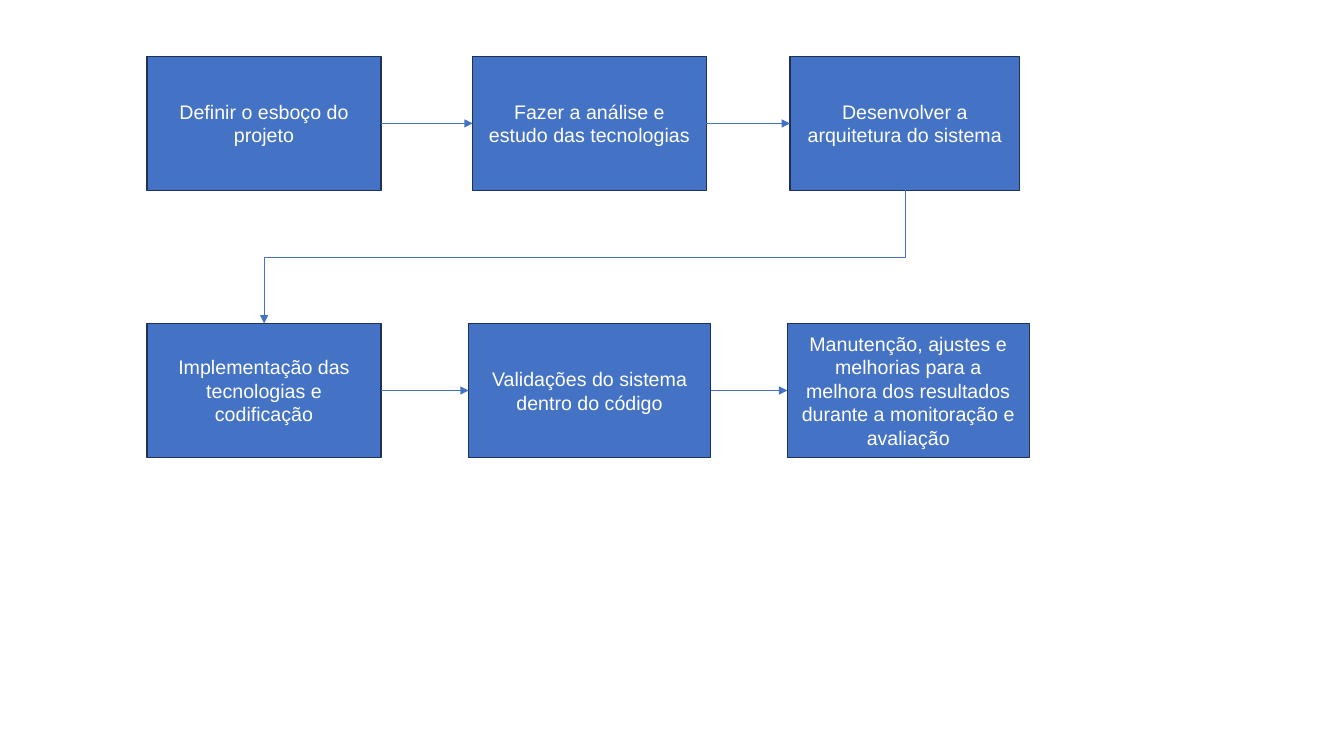
from lxml import etree
from pptx import Presentation
from pptx.dml.color import RGBColor
from pptx.enum.shapes import MSO_CONNECTOR, MSO_SHAPE
from pptx.enum.text import MSO_ANCHOR, PP_ALIGN
from pptx.oxml.ns import qn
from pptx.util import Cm, Pt

RECT = MSO_SHAPE.RECTANGLE
LINE, ELBOW = MSO_CONNECTOR.STRAIGHT, MSO_CONNECTOR.ELBOW
MIDDLE, CENTER = MSO_ANCHOR.MIDDLE, PP_ALIGN.CENTER
TOP, LEFT, BOTTOM, RIGHT = range(4)

BLUE = RGBColor(0x44, 0x72, 0xC4)
NAVY = RGBColor(0x1E, 0x32, 0x56)
WHITE = RGBColor(0xFF, 0xFF, 0xFF)

HIGH = 3.38  # height of every step, cm

# Steps of each row: left, width (cm), text
PLAN = [
    (3.71, 5.89, "Definir o esboço do projeto"),
    (11.91, 5.89, "Fazer a análise e estudo das tecnologias"),
    (19.91, 5.79, "Desenvolver a arquitetura do sistema"),
]
BUILD = [
    (3.71, 5.89, "Implementação das tecnologias e codificação"),
    (11.81, 6.1, "Validações do sistema dentro do código"),
    (19.84, 6.1, "Manutenção, ajustes e melhorias para a melhora dos "
                 "resultados durante a monitoração e avaliação"),
]


def write(shape, text, size=14, font="Arial", color=WHITE, align=CENTER):
    frame = shape.text_frame
    frame.word_wrap = True
    frame.vertical_anchor = MIDDLE
    par = frame.paragraphs[0]
    par.alignment = align
    run = par.add_run()
    run.text = text
    run.font.size = Pt(size)
    run.font.name = font
    run.font.color.rgb = color


def add_step(slide, left, top, width, text):
    step = slide.shapes.add_shape(RECT, Cm(left), Cm(top), Cm(width), Cm(HIGH))
    step.shadow.inherit = False
    step.fill.solid()
    step.fill.fore_color.rgb = BLUE
    step.line.color.rgb = NAVY
    step.line.width = Pt(1)
    write(step, text)
    return step


def add_arrow(slide, kind, start, out, end, into):
    arrow = slide.shapes.add_connector(kind, 0, 0, 0, 0)
    arrow.begin_connect(start, out)
    arrow.end_connect(end, into)
    arrow.line.color.rgb = BLUE
    arrow.line.width = Pt(0.5)
    tip = etree.SubElement(arrow.line._get_or_add_ln(), qn("a:tailEnd"))
    tip.set("type", "triangle")
    etree.SubElement(arrow.element.spPr, qn("a:effectLst"))
    return arrow


def add_row(slide, top, steps):
    """Place one row of steps, each joined to the next."""
    boxes = [add_step(slide, left, top, width, text)
             for left, width, text in steps]
    for start, end in zip(boxes, boxes[1:]):
        add_arrow(slide, LINE, start, RIGHT, end, LEFT)
    return boxes


def add_turn(slide, start, end):
    """Lead from the end of one row down to the start of the next."""
    arrow = add_arrow(slide, ELBOW, start, BOTTOM, end, TOP)
    # A quarter turn swaps width and height about the same centre
    left, top, wide, high = arrow.left, arrow.top, arrow.width, arrow.height
    frame = arrow.element.spPr.find(qn("a:xfrm"))
    frame.attrib.pop("flipH", None)
    frame.set("rot", "5400000")
    arrow.left = left + (wide - high) // 2
    arrow.top = top + (high - wide) // 2
    arrow.width, arrow.height = high, wide


def main():
    deck = Presentation()
    deck.slide_width, deck.slide_height = Cm(33.87), Cm(19.05)
    slide = deck.slides.add_slide(deck.slide_layouts[6])

    # Two rows of steps and the link between them
    plan = add_row(slide, 1.42, PLAN)
    build = add_row(slide, 8.15, BUILD)
    add_turn(slide, plan[-1], build[0])

    deck.save("out.pptx")


if __name__ == "__main__":
    main()
